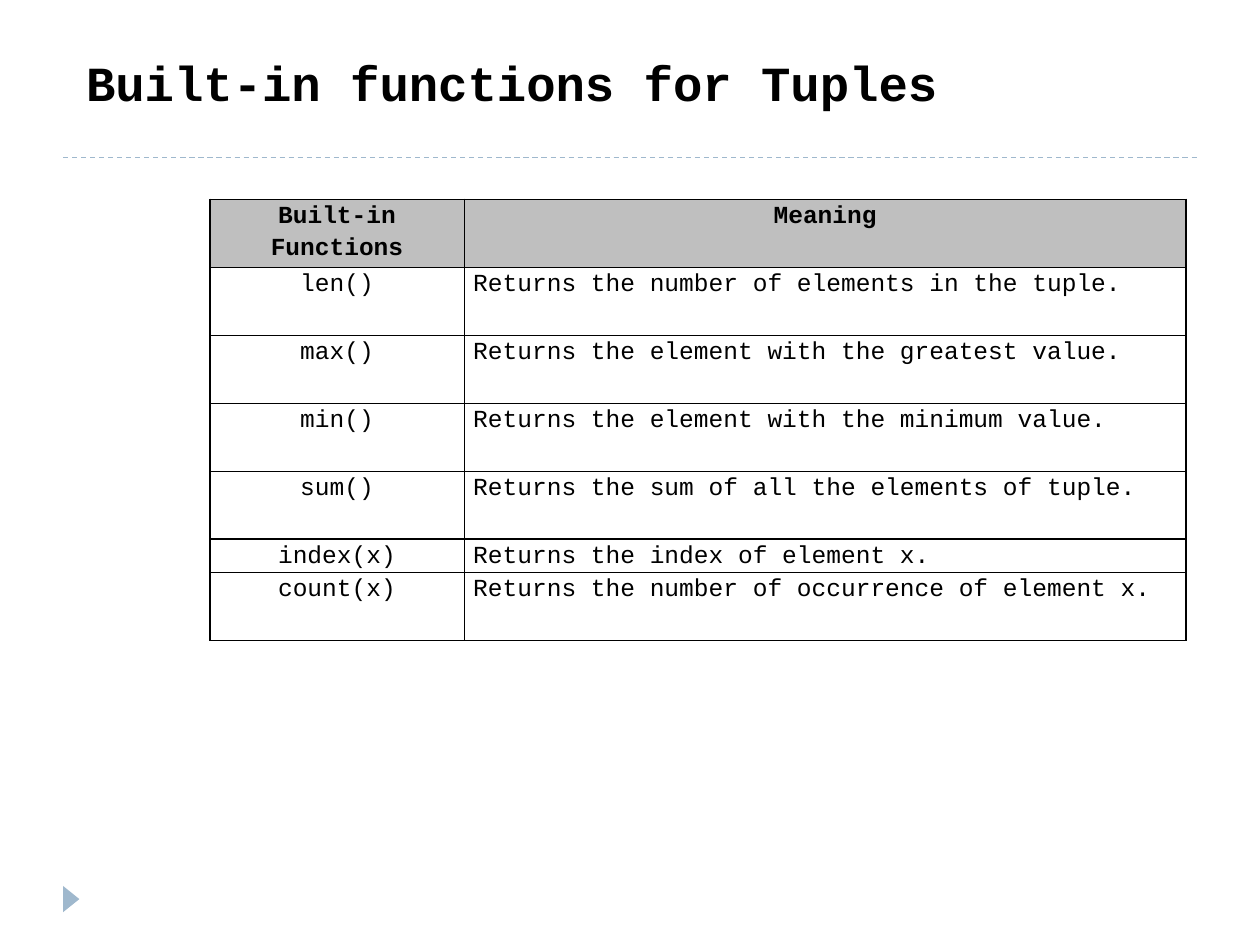
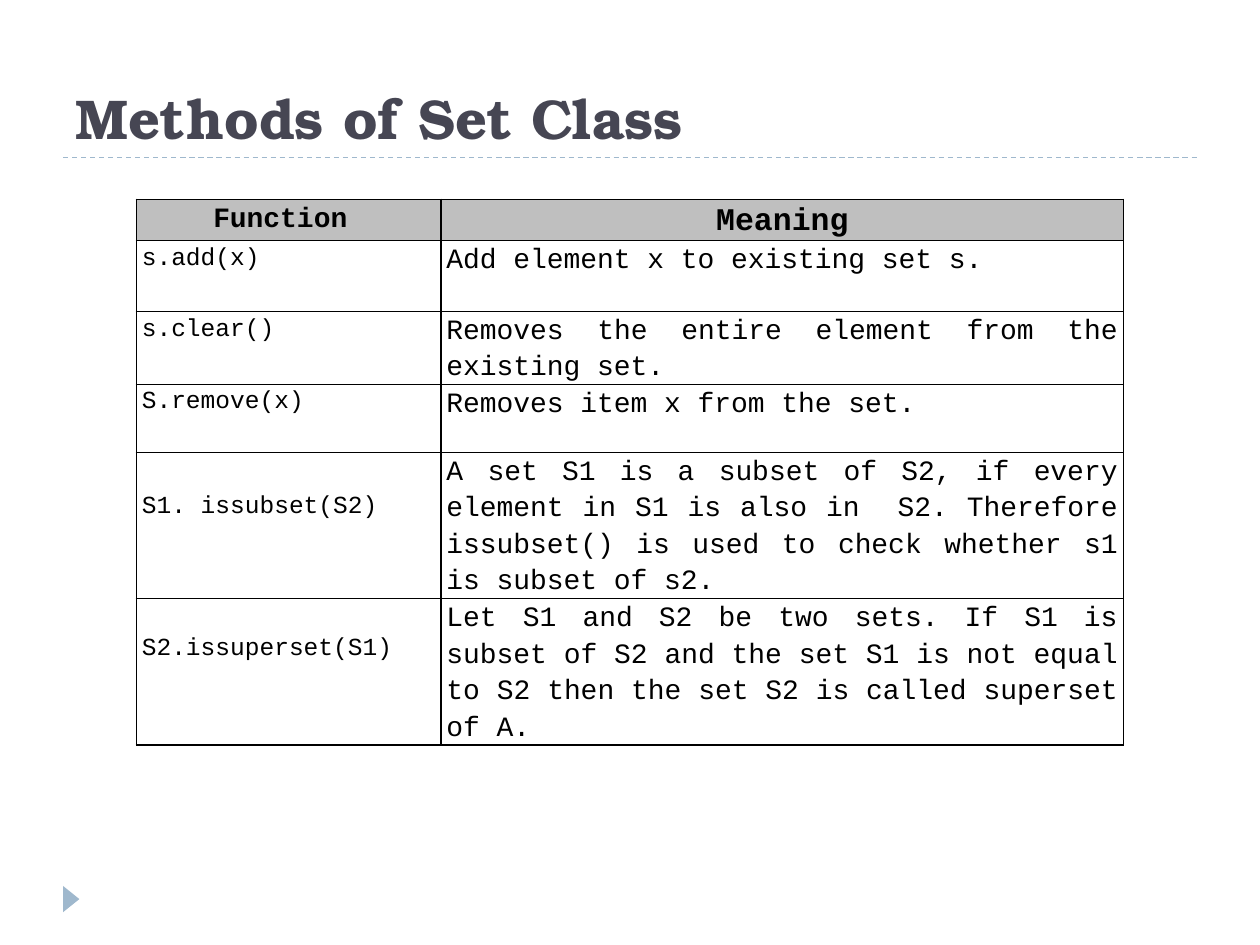
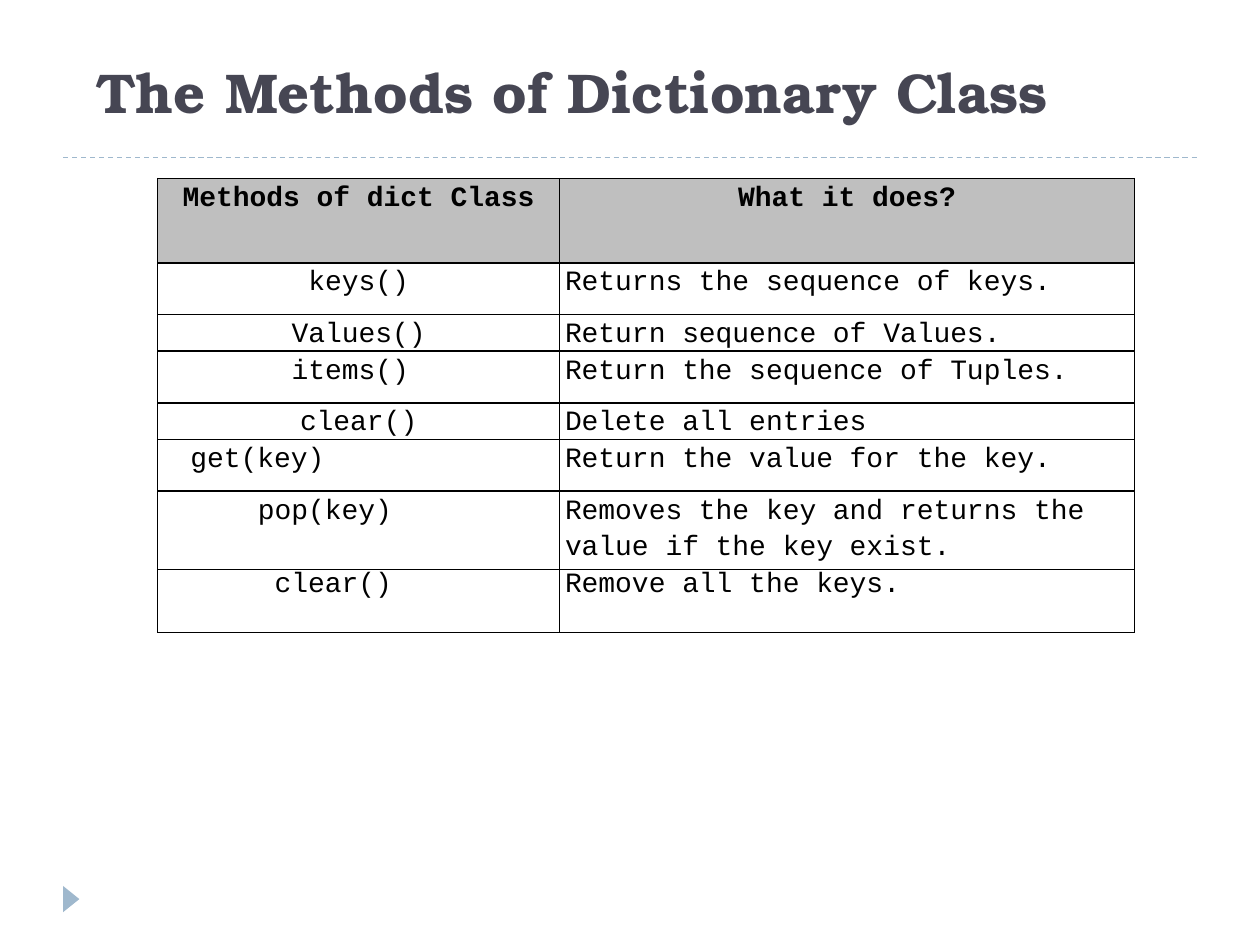
from lxml.etree import SubElement
from pptx import Presentation
from pptx.dml.color import RGBColor
from pptx.enum.dml import MSO_LINE
from pptx.enum.shapes import MSO_CONNECTOR, MSO_SHAPE
from pptx.enum.text import MSO_ANCHOR, MSO_AUTO_SIZE, PP_ALIGN
from pptx.oxml.ns import qn
from pptx.util import Cm, Pt

BLACK = RGBColor(0x00, 0x00, 0x00)
SLATE = RGBColor(0x46, 0x46, 0x53)
HEADER_GREY = RGBColor(0xBF, 0xBF, 0xBF)
ACCENT_BLUE = RGBColor(0x9F, 0xB8, 0xCD)
CODE_FONT = "Courier New"
SERIF_FONT = "TeX Gyre Bonum"
LEFT, CENTER, JUSTIFY = PP_ALIGN.LEFT, PP_ALIGN.CENTER, PP_ALIGN.JUSTIFY
CHAR_WIDTH = 0.34

topics = [
    {
        "title": "Built-in functions for Tuples",
        "title_at": (1.48, 0.42), "title_bottom": 0.92,
        "title_style": (CODE_FONT, 28, BLACK),
        "table_at": (4.23, 4.02), "columns": (5.13, 14.55),
        "heights": (1.37, 1.37, 1.37, 1.37, 1.37, 0.67, 1.37),
        "side_margin": 0.18, "header_sizes": (14, 14), "body_sizes": (14, 14),
        "aligns": (CENTER, LEFT), "shifts": {}, "drops": {}, "single_spaced": (),
        "rows": [
            ("Built-in Functions", "Meaning"),
            ("len()", "Returns the number of elements in the tuple."),
            ("max()", "Returns the element with the greatest value."),
            ("min()", "Returns the element with the minimum value."),
            ("sum()", "Returns the sum of all the elements of tuple."),
            ("index(x)", "Returns the index of element x."),
            ("count(x)", "Returns the number of occurrence of element x."),
        ],
    },
    {
        "title": "Methods of Set Class",
        "title_at": (1.27, 0.42), "title_bottom": 0.13,
        "title_style": (SERIF_FONT, 32, SLATE),
        "table_at": (2.75, 4.02), "columns": (6.14, 13.76),
        "heights": (0.83, 1.43, 1.47, 1.37, 2.95, 2.95),
        "side_margin": 0.11, "header_sizes": (16, 18), "body_sizes": (14, 16),
        "aligns": (JUSTIFY, JUSTIFY), "shifts": {0: 1}, "drops": {4: 0.74, 5: 0.64},
        "single_spaced": (),
        "rows": [
            ("Function", "Meaning"),
            ("s.add(x)", "Add element x to existing set s."),
            ("s.clear()", "Removes the entire element from the existing set."),
            ("S.remove(x)", "Removes item x from the set."),
            ("S1. issubset(S2)",
             "A set S1 is a subset of S2, if every element in S1 is also in  S2. "
             "Therefore issubset() is used to check whether s1 is subset of s2."),
            ("S2.issuperset(S1)",
             "Let S1 and S2 be two sets. If S1 is subset of S2 and the set S1 is "
             "not equal to S2 then the set S2 is called superset of A."),
        ],
    },
    {
        "title": "The Methods of Dictionary Class",
        "title_at": (1.69, -0.11), "title_bottom": 0.13,
        "title_style": (SERIF_FONT, 32, SLATE),
        "table_at": (3.18, 3.6), "columns": (8.1, 11.59),
        "heights": (1.7, 1.04, 0.74, 1.04, 0.74, 1.04, 1.58, 1.27),
        "side_margin": 0.11, "header_sizes": (16, 16), "body_sizes": (16, 16),
        "aligns": (CENTER, LEFT), "shifts": {3: 1, 5: 12, 6: 4, 7: 3}, "drops": {},
        "single_spaced": (7,),
        "rows": [
            ("Methods of dict Class", "What it does?"),
            ("keys()", "Returns the sequence of keys."),
            ("Values()", "Return sequence of Values."),
            ("items()", "Return the sequence of Tuples."),
            ("clear()", "Delete all entries"),
            ("get(key)", "Return the value for the key."),
            ("pop(key)", "Removes the key and returns the value if the key exist."),
            ("clear()", "Remove all the keys."),
        ],
    },
]


def style_text(paragraph, font_name, size, color, bold):
    for run in paragraph.runs:
        run.font.name = font_name
        run.font.size = Pt(size)
        run.font.color.rgb = color
        run.font.bold = bold


def add_borders(cell):
    properties = cell._tc.get_or_add_tcPr()
    for side in ("a:lnL", "a:lnR", "a:lnT", "a:lnB"):
        border = SubElement(properties, qn(side), w=str(Pt(1)))
        paint = SubElement(border, qn("a:solidFill"))
        SubElement(paint, qn("a:srgbClr"), val=str(BLACK))


prs = Presentation()
prs.slide_width = Cm(25.4)
prs.slide_height = Cm(19.05)

for topic in topics:
    slide = prs.slides.add_slide(prs.slide_layouts[5])

    rule = slide.shapes.add_connector(
        MSO_CONNECTOR.STRAIGHT, Cm(1.27), Cm(3.18), Cm(24.13), Cm(3.18))
    rule.line.color.rgb = ACCENT_BLUE
    rule.line.width = Pt(0.75)
    rule.line.dash_style = MSO_LINE.DASH
    SubElement(rule._element.spPr, qn("a:effectLst"))

    marker = slide.shapes.add_shape(
        MSO_SHAPE.ISOSCELES_TRIANGLE, Cm(1.17), Cm(17.96), Cm(0.53), Cm(0.33))
    marker.rotation = 90
    marker.shadow.inherit = False
    marker.fill.solid()
    marker.fill.fore_color.rgb = ACCENT_BLUE
    marker.line.fill.background()

    title = slide.shapes.title
    title.left, title.top = [Cm(v) for v in topic["title_at"]]
    title.width, title.height = Cm(22.86), Cm(2.75)
    heading = title.text_frame
    heading.text = topic["title"]
    heading.word_wrap = True
    heading.auto_size = MSO_AUTO_SIZE.NONE
    heading.vertical_anchor = MSO_ANCHOR.BOTTOM
    heading.margin_bottom = Cm(topic["title_bottom"])
    heading.paragraphs[0].alignment = LEFT
    style_text(heading.paragraphs[0], *topic["title_style"], True)

    left, top = topic["table_at"]
    rows, columns, heights = topic["rows"], topic["columns"], topic["heights"]
    methods = slide.shapes.add_table(
        len(rows), len(columns), Cm(left), Cm(top),
        Cm(sum(columns)), Cm(sum(heights))).table
    for column, width in zip(methods.columns, columns):
        column.width = Cm(width)

    for r, row in enumerate(rows):
        methods.rows[r].height = Cm(heights[r])
        is_header = r == 0
        sizes = topic["header_sizes"] if is_header else topic["body_sizes"]
        for c, wording in enumerate(row):
            cell = methods.cell(r, c)
            shift = topic["shifts"].get(r, 0) * CHAR_WIDTH if c == 0 else 0
            drop = topic["drops"].get(r, 0) if c == 0 else 0
            cell.margin_left = Cm(topic["side_margin"])
            cell.margin_right = Cm(topic["side_margin"] + shift)
            cell.margin_top = Cm(drop)
            cell.margin_bottom = Cm(0)
            add_borders(cell)
            if is_header:
                cell.fill.solid()
                cell.fill.fore_color.rgb = HEADER_GREY
            else:
                cell.fill.background()
            cell.text_frame.text = wording
            paragraph = cell.text_frame.paragraphs[0]
            paragraph.alignment = CENTER if is_header else topic["aligns"][c]
            paragraph.line_spacing = 1.0 if r in topic["single_spaced"] else 1.15
            style_text(paragraph, CODE_FONT, sizes[c], BLACK, is_header)

prs.save("out.pptx")
